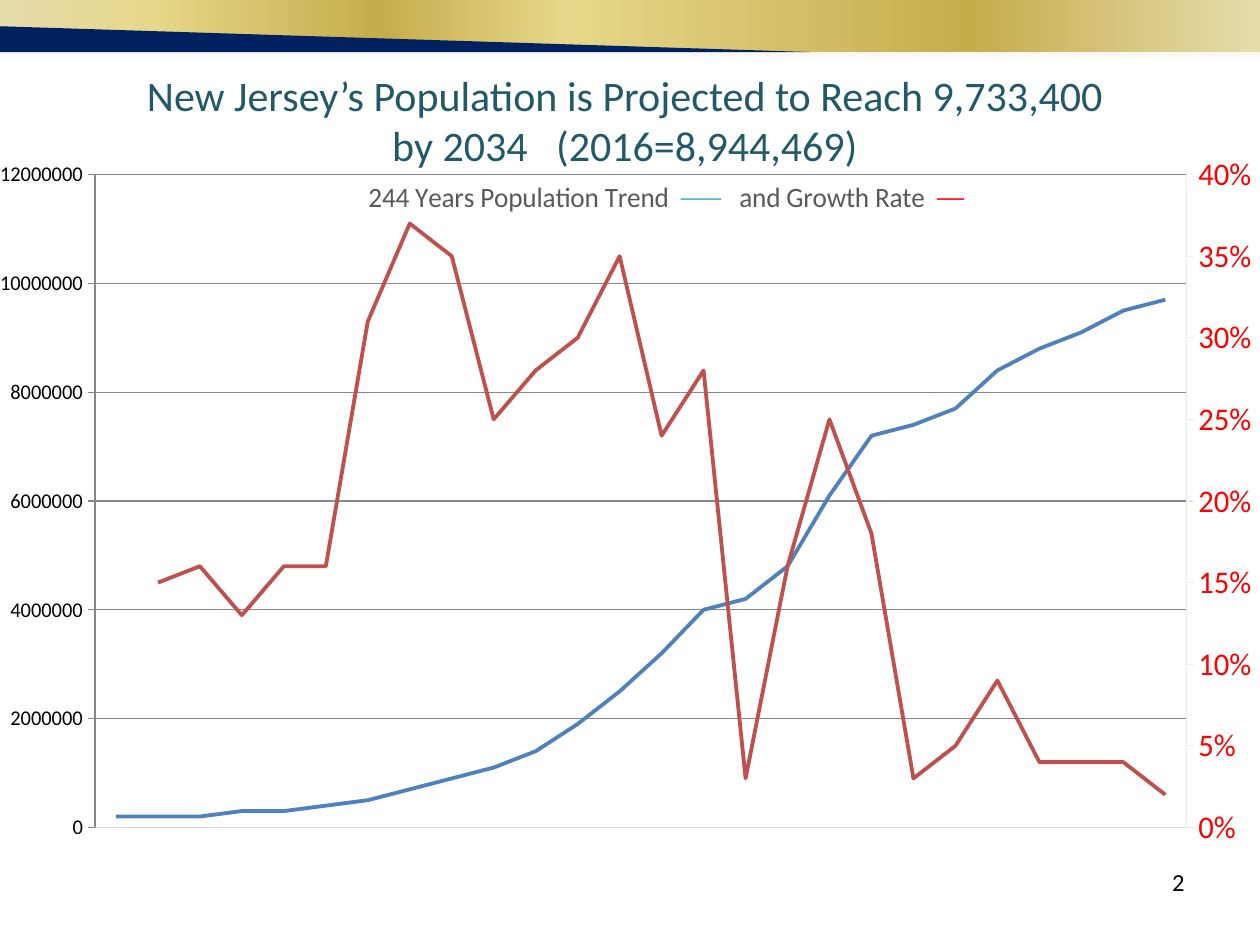
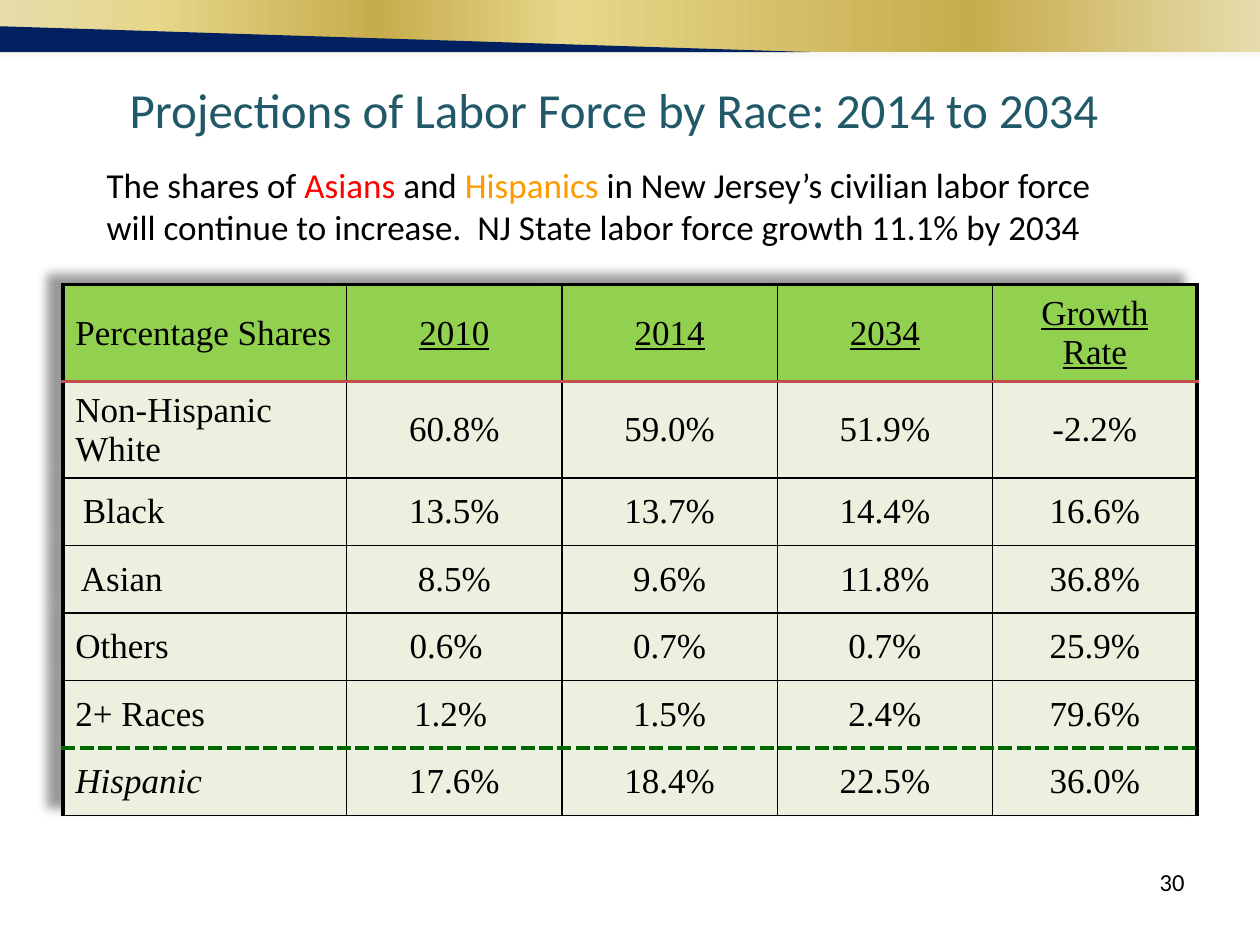
from copy import deepcopy

from lxml import etree
from pptx import Presentation
from pptx.chart.axis import ValueAxis
from pptx.chart.data import CategoryChartData
from pptx.dml.color import RGBColor
from pptx.enum.chart import XL_CHART_TYPE, XL_TICK_LABEL_POSITION, XL_TICK_MARK
from pptx.enum.shapes import MSO_SHAPE
from pptx.enum.text import MSO_ANCHOR, PP_ALIGN
from pptx.oxml.ns import qn
from pptx.util import Cm, Pt

LINE_CHART = XL_CHART_TYPE.LINE
NO_LABELS = XL_TICK_LABEL_POSITION.NONE
TICK_NONE, TICK_OUT = XL_TICK_MARK.NONE, XL_TICK_MARK.OUTSIDE
RECTANGLE = MSO_SHAPE.RECTANGLE
MIDDLE = MSO_ANCHOR.MIDDLE
LEFT, CENTER, RIGHT = PP_ALIGN.LEFT, PP_ALIGN.CENTER, PP_ALIGN.RIGHT

SANS, SERIF = "Calibri", "Times New Roman"

BLACK = RGBColor(0x00, 0x00, 0x00)
WHITE = RGBColor(0xFF, 0xFF, 0xFF)
TEAL = RGBColor(0x21, 0x59, 0x68)
NAVY = RGBColor(0x00, 0x20, 0x60)
PALE_GOLD = RGBColor(0xE6, 0xDC, 0xAC)
LIGHT_GOLD = RGBColor(0xE6, 0xD7, 0x8A)
DARK_GOLD = RGBColor(0xC7, 0xAC, 0x4C)
CREAM = RGBColor(0xEE, 0xEC, 0xE1)
RED = RGBColor(0xFF, 0x00, 0x00)
ORANGE = RGBColor(0xFF, 0x99, 0x00)
BLUE = RGBColor(0x4F, 0x81, 0xBD)
BRICK = RGBColor(0xC0, 0x50, 0x4D)
AQUA = RGBColor(0x4B, 0xAC, 0xC6)
GRAY = RGBColor(0x59, 0x59, 0x59)
GRID_GRAY = RGBColor(0xD9, 0xD9, 0xD9)
HEADER_GREEN = RGBColor(0x92, 0xD0, 0x50)
BODY_GREEN = RGBColor(0xEB, 0xF1, 0xDE)
DASH_GREEN = RGBColor(0x00, 0x66, 0x00)

# Band gradients: position in percent, colour
GOLD_STOPS = [(0, PALE_GOLD), (12, LIGHT_GOLD), (30, DARK_GOLD),
              (45, LIGHT_GOLD), (77, DARK_GOLD), (100, PALE_GOLD)]
FADE_STOPS = [(0, CREAM), (100, WHITE)]

# Population chart data
YEARS = [str(year) for year in range(1790, 2011, 10)] + ["2019", "2029", "2034"]
POPULATION_MILLIONS = [0.2, 0.2, 0.2, 0.3, 0.3, 0.4, 0.5, 0.7, 0.9, 1.1, 1.4, 1.9, 2.5,
                       3.2, 4.0, 4.2, 4.8, 6.1, 7.2, 7.4, 7.7, 8.4, 8.8, 9.1, 9.5, 9.7]
GROWTH_RATES = [None, 0.15, 0.16, 0.13, 0.16, 0.16, 0.31, 0.37, 0.35, 0.25, 0.28, 0.3, 0.35,
                0.24, 0.28, 0.03, 0.16, 0.25, 0.18, 0.03, 0.05, 0.09, 0.04, 0.04, 0.04, 0.02]

# Labor force table: rows, and border (colour, points, dash) of each grid line
SHARES = [
    ["Percentage Shares", "2010", "2014", "2034", "Growth Rate"],
    ["Non-Hispanic White", "60.8%", "59.0%", "51.9%", "-2.2%"],
    ["Black", "13.5%", "13.7%", "14.4%", "16.6%"],
    ["Asian", "8.5%", "9.6%", "11.8%", "36.8%"],
    ["Others", "0.6%", "0.7%", "0.7%", "25.9%"],
    ["2+ Races", "1.2%", "1.5%", "2.4%", "79.6%"],
    ["Hispanic", "17.6%", "18.4%", "22.5%", "36.0%"],
]
COLUMN_WIDTHS = [5.72, 4.34, 4.34, 4.34, 4.12]
ROW_HEIGHTS = [1.95] * 2 + [1.36] * 5
THIN, THICK = (BLACK, 1, "solid"), (BLACK, 2.25, "solid")
ROW_LINES = [THICK, (BRICK, 2.25, "solid"), THIN, THIN, THIN, THIN,
             (DASH_GREEN, 2.25, "sysDash"), THIN]
COLUMN_LINES = [THICK, THIN, THIN, THIN, THIN, THICK]
LEFT_INDENTS = {"Black": 0.4, "Asian": 0.36}
RIGHT_INDENTS = {"0.6%": 0.36, "1.2%": 0.18}


def add_span(para, text, size, color, font=SANS):
    span = para.add_run()
    span.text = text
    span.font.size = Pt(size)
    span.font.name = font
    span.font.color.rgb = color
    return span


def add_text(page, left, top, width, height, spans, size, align=LEFT):
    box = page.shapes.add_textbox(Cm(left), Cm(top), Cm(width), Cm(height))
    box.text_frame.word_wrap = True
    para = box.text_frame.paragraphs[0]
    para.alignment = align
    for text, color in spans:
        add_span(para, text, size, color)


def add_title(page, text, left, top, width, height, size):
    add_text(page, left, top, width, height, [(text, TEAL)], size, CENTER)


def add_color(parent, color):
    return etree.SubElement(parent, qn("a:srgbClr"), val=str(color))


def add_gradient_band(page, top, height, stops, angle):
    band = page.shapes.add_shape(RECTANGLE, 0, Cm(top), Cm(25.4), Cm(height))
    band.shadow.inherit = False
    band.line.fill.background()
    band.fill.gradient()
    band.fill.gradient_angle = angle
    stop_list = band._element.spPr.find(".//" + qn("a:gsLst"))
    for stop in list(stop_list):
        stop_list.remove(stop)
    for position, color in stops:
        stop = etree.SubElement(stop_list, qn("a:gs"), pos=str(position * 1000))
        add_color(stop, color)


def new_page(deck, number):
    """Blank page with the gold band, navy wedge and page number."""
    page = deck.slides.add_slide(deck.slide_layouts[6])
    add_gradient_band(page, 0.84, 0.43, FADE_STOPS, 270)
    add_gradient_band(page, 0, 1.05, GOLD_STOPS, 0)
    builder = page.shapes.build_freeform(0, Cm(0.53))
    builder.add_line_segments([(0, Cm(1.05)), (Cm(16.33), Cm(1.05))], close=True)
    wedge = builder.convert_to_shape()
    wedge.shadow.inherit = False
    wedge.fill.solid()
    wedge.fill.fore_color.rgb = NAVY
    wedge.line.fill.background()
    add_text(page, 18.21, 17.35, 5.92, 1.32, [(str(number), BLACK)], 14, RIGHT)
    return page


def set_layout(parent, index, **settings):
    """Place a chart part by fractions of the chart area."""
    old = parent.find(qn("c:layout"))
    if old is not None:
        parent.remove(old)
    layout = etree.Element(qn("c:layout"))
    manual = etree.SubElement(layout, qn("c:manualLayout"))
    for name, value in settings.items():
        etree.SubElement(manual, qn("c:" + name), val=str(value))
    parent.insert(index, layout)


def style_axis(axis, size, color, line_color, tick=TICK_NONE):
    axis.major_tick_mark = tick
    axis.minor_tick_mark = TICK_NONE
    axis.tick_labels.font.size = Pt(size)
    axis.tick_labels.font.name = SANS
    axis.tick_labels.font.color.rgb = color
    axis.format.line.color.rgb = line_color
    axis.format.line.width = Pt(0.75)


def move_to_right_axis(chart):
    """Give the second series its own line plot and a value axis on the right."""
    plot_area = chart._chartSpace.chart.plotArea
    first_plot = plot_area.find(qn("c:lineChart"))
    category, value = plot_area.find(qn("c:catAx")), plot_area.find(qn("c:valAx"))
    if value.find(qn("c:crossBetween")) is None:
        between = etree.Element(qn("c:crossBetween"), val="between")
        value.find(qn("c:crosses")).addnext(between)
    second_plot = deepcopy(first_plot)
    first_plot.remove(first_plot.findall(qn("c:ser"))[1])
    second_plot.remove(second_plot.findall(qn("c:ser"))[0])
    first_plot.addnext(second_plot)
    right_value, right_category = deepcopy(value), deepcopy(category)
    value.addnext(right_value)
    right_value.addnext(right_category)
    new_ids = {category.find(qn("c:axId")).get("val"): "5001",
               value.find(qn("c:axId")).get("val"): "5002"}
    for part in (second_plot, right_value, right_category):
        for reference in part.iter(qn("c:axId"), qn("c:crossAx")):
            reference.set("val", new_ids[reference.get("val")])
    right_value.find(qn("c:axPos")).set("val", "r")
    right_value.find(qn("c:crosses")).set("val", "max")
    axis = ValueAxis(right_value)
    axis.has_major_gridlines = False
    hidden = right_category.find(qn("c:delete"))
    hidden.set("val", "1")
    return axis


def add_population_chart(page):
    data = CategoryChartData()
    data.categories = YEARS
    data.add_series("Series 1", [round(value * 1000000) for value in POPULATION_MILLIONS])
    data.add_series("Series 2", GROWTH_RATES, number_format="0%")
    frame = page.shapes.add_chart(LINE_CHART, 0, Cm(2.11), Cm(25.4), Cm(15.67), data)
    chart = frame.chart
    chart.has_legend = False
    chart.font.size = Pt(12)
    chart.font.name = SANS
    chart.font.color.rgb = BLACK
    chart.plots[0].vary_by_categories = False
    for series, color in zip(chart.series, (BLUE, BRICK)):
        series.smooth = False
        series.format.line.color.rgb = color
        series.format.line.width = Pt(2.25)

    # Axes
    right_axis = move_to_right_axis(chart)
    style_axis(chart.category_axis, 14, GRAY, GRID_GRAY)
    chart.category_axis.tick_label_position = NO_LABELS
    left_axis = chart.value_axis
    style_axis(left_axis, 18, BLUE, AQUA)
    left_axis.major_gridlines.format.line.color.rgb = GRID_GRAY
    left_axis.major_gridlines.format.line.width = Pt(0.75)
    style_axis(right_axis, 18, RED, CREAM, TICK_OUT)
    right_axis.minimum_scale = 0
    for axis, number_format in ((left_axis, "General"), (right_axis, "0%")):
        axis.tick_labels.number_format = number_format
        axis.tick_labels.number_format_is_linked = False
    set_layout(chart._chartSpace.chart.plotArea, 0, layoutTarget="inner", xMode="edge",
               yMode="edge", x=0.05, y=0.09, w=0.89, h=0.84)

    # Title that doubles as the key to the lines
    para = chart.chart_title.text_frame.paragraphs[0]
    for text, color in (("244 Years Population Trend  ", GRAY), ("───", AQUA),
                        ("   and Growth Rate  ", GRAY), ("──", RED)):
        add_span(para, text, 16, color).font.bold = False
    title = chart.chart_title._element
    set_layout(title, 1, xMode="edge", yMode="edge", x=0.27, y=0.09)
    title.find(qn("c:overlay")).set("val", "1")


def set_borders(cell, row, column):
    lines = {"a:lnL": COLUMN_LINES[column], "a:lnR": COLUMN_LINES[column + 1],
             "a:lnT": ROW_LINES[row], "a:lnB": ROW_LINES[row + 1]}
    properties = cell._tc.get_or_add_tcPr()
    for index, (tag, (color, width, dash)) in enumerate(lines.items()):
        line = etree.Element(qn(tag), w=str(Pt(width)))
        add_color(etree.SubElement(line, qn("a:solidFill")), color)
        etree.SubElement(line, qn("a:prstDash"), val=dash)
        properties.insert(index, line)


def fill_cell(cell, text, row, column):
    is_header, is_label = row == 0, column == 0
    cell.vertical_anchor = MIDDLE
    cell.fill.solid()
    cell.fill.fore_color.rgb = HEADER_GREEN if is_header else BODY_GREEN
    side = 0.25 if is_header or is_label else 0.03
    cell.margin_left = Cm(LEFT_INDENTS.get(text, side))
    cell.margin_right = Cm(RIGHT_INDENTS.get(text, side))
    para = cell.text_frame.paragraphs[0]
    para.alignment = LEFT if is_label else CENTER
    span = add_span(para, text, 20, BLACK, SERIF)
    span.font.underline = is_header and not is_label
    span.font.italic = text == "Hispanic"
    set_borders(cell, row, column)


def add_table_shadow(table):
    effects = etree.Element(qn("a:effectLst"))
    shadow = etree.SubElement(effects, qn("a:outerShdw"), blurRad=str(Pt(6)),
                              dist=str(Pt(10)), dir="12700000", rotWithShape="0")
    etree.SubElement(add_color(shadow, BLACK), qn("a:alpha"), val="40000")
    table._tbl.tblPr.insert(0, effects)


def add_shares_table(page):
    frame = page.shapes.add_table(len(SHARES), len(SHARES[0]), Cm(1.27), Cm(5.74),
                                  Cm(sum(COLUMN_WIDTHS)), Cm(sum(ROW_HEIGHTS)))
    table = frame.table
    table.first_row = table.horz_banding = False
    for column, width in zip(table.columns, COLUMN_WIDTHS):
        column.width = Cm(width)
    for row, height in zip(table.rows, ROW_HEIGHTS):
        row.height = Cm(height)
    for row, texts in enumerate(SHARES):
        for column, text in enumerate(texts):
            fill_cell(table.cell(row, column), text, row, column)
    add_table_shadow(table)


def main():
    deck = Presentation()
    deck.slide_width, deck.slide_height = Cm(25.4), Cm(19.05)

    # Population trend
    page = new_page(deck, 2)
    add_title(page, "New Jersey’s Population is Projected to Reach 9,733,400 "
              "by 2034   (2016=8,944,469)", 2.34, 1.27, 20.52, 2.31, 24)
    add_population_chart(page)

    # Labor force shares
    page = new_page(deck, 30)
    add_shares_table(page)
    add_title(page, "Projections of Labor Force by Race: 2014 to 2034",
              1.9, 1.47, 20.95, 1.45, 28)
    add_text(page, 1.9, 3.18, 21.16, 1.96, [
        ("The shares of ", BLACK), ("Asians", RED), (" and ", BLACK), ("Hispanics", ORANGE),
        (" in New Jersey’s civilian labor force will continue to increase.  "
         "NJ State labor force growth 11.1% by 2034", BLACK)], 20)

    deck.save("out.pptx")


if __name__ == "__main__":
    main()
